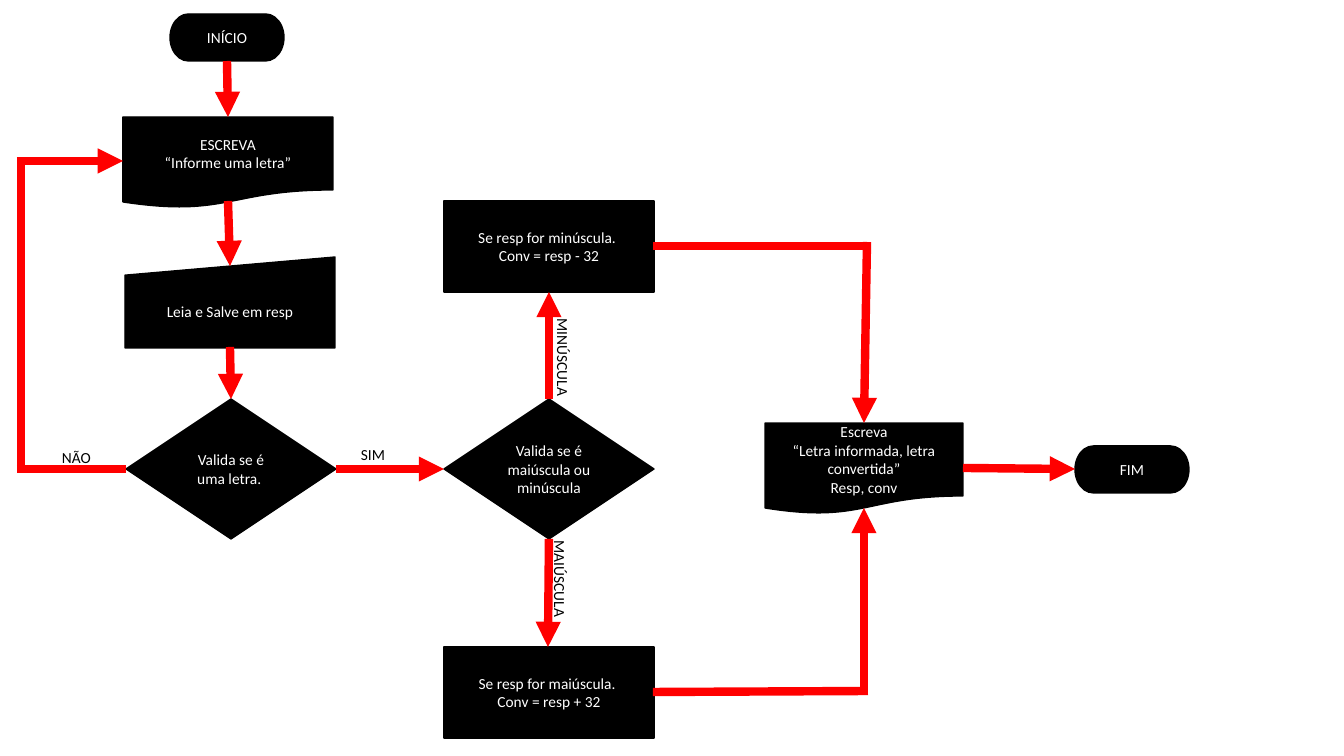
from dataclasses import dataclass
from lxml.etree import SubElement
from pptx import Presentation
from pptx.dml.color import RGBColor as Rgb
from pptx.enum.shapes import MSO_CONNECTOR as Conn, MSO_SHAPE as Form
from pptx.enum.text import MSO_ANCHOR as Anchor, MSO_AUTO_SIZE as Fit, PP_ALIGN as Align
from pptx.oxml.ns import qn
from pptx.util import Emu, Pt

SCALE = 914400 / 100.8
COLORS = {"ink": "000000", "paper": "FFFFFF", "flow": "FF0000"}


@dataclass
class Step:
    form: Form
    x: int
    y: int
    w: int
    h: int
    text: str


@dataclass
class Link:
    x1: int
    y1: int
    x2: int
    y2: int
    arrow: bool = True


@dataclass
class Label:
    x: int
    y: int
    w: int
    text: str
    turn: int = 0


def px(n: int) -> Emu:
    return Emu(round(n * SCALE))


def color(name: str) -> Rgb:
    return Rgb.from_string(COLORS[name])


def write(frame, text: str, *, ink: str = "ink", align=Align.LEFT,
          anchor=Anchor.TOP, size: int = 11) -> None:
    frame.word_wrap = True
    frame.vertical_anchor = anchor
    for i, row in enumerate(text.split("\n")):
        para = frame.add_paragraph() if i else frame.paragraphs[0]
        para.alignment = align
        run = para.add_run()
        run.text = row
        run.font.name = "Calibri"
        run.font.size = Pt(size)
        run.font.color.rgb = color(ink)


def draw_step(slide, step: Step) -> None:
    shape = slide.shapes.add_shape(
        step.form, px(step.x), px(step.y), px(step.w), px(step.h))
    shape.shadow.inherit = False
    shape.fill.solid()
    shape.fill.fore_color.rgb = color("ink")
    shape.line.color.rgb = color("ink")
    shape.line.width = Pt(1)
    write(shape.text_frame, step.text, ink="paper",
          align=Align.CENTER, anchor=Anchor.MIDDLE)


def draw_link(slide, link: Link) -> None:
    line = slide.shapes.add_connector(
        Conn.STRAIGHT, px(link.x1), px(link.y1), px(link.x2), px(link.y2))
    line.line.color.rgb = color("flow")
    line.line.width = Pt(6)
    if link.arrow:
        SubElement(line.line._get_or_add_ln(), qn("a:tailEnd"), type="triangle")
    SubElement(line._element.spPr, qn("a:effectLst"))


def draw_label(slide, label: Label) -> None:
    box = slide.shapes.add_textbox(px(label.x), px(label.y), px(label.w), px(29))
    box.rotation = label.turn
    write(box.text_frame, label.text)
    box.text_frame.auto_size = Fit.SHAPE_TO_FIT_TEXT


END, DOC = Form.FLOWCHART_TERMINATOR, Form.FLOWCHART_DOCUMENT
TEST, TASK = Form.FLOWCHART_DECISION, Form.FLOWCHART_PROCESS

STEPS = [
    Step(END, 170, 14, 114, 47, "INÍCIO"),
    Step(DOC, 123, 117, 210, 91, "ESCREVA\n“Informe uma letra”"),
    Step(Form.FLOWCHART_MANUAL_INPUT, 125, 257, 210, 91, "Leia e Salve em resp"),
    Step(TEST, 126, 399, 210, 140, "Valida se é uma letra. "),
    Step(TEST, 444, 399, 210, 140, "Valida se é maiúscula ou minúscula"),
    Step(TASK, 444, 201, 210, 91, "Se resp for minúscula. \nConv = resp - 32"),
    Step(TASK, 444, 647, 210, 91, "Se resp for maiúscula. \nConv = resp + 32"),
    Step(DOC, 765, 423, 198, 91,
         "Escreva\n“Letra informada, letra convertida”\nResp, conv"),
    Step(END, 1075, 446, 114, 47, "FIM"),
]

LINKS = [
    # Input column
    Link(227, 61, 228, 117),
    Link(228, 201, 230, 266),
    Link(230, 347, 231, 399),
    # Loop back
    Link(17, 469, 126, 469, False),
    Link(21, 158, 21, 469, False),
    Link(17, 161, 123, 161),
    # Letter case branches
    Link(336, 469, 444, 469),
    Link(549, 399, 549, 292),
    Link(549, 539, 548, 647),
    # Output
    Link(653, 246, 868, 246, False),
    Link(867, 242, 864, 423),
    Link(653, 692, 868, 691, False),
    Link(864, 692, 864, 508),
    Link(963, 468, 1075, 469),
]

LABELS = [
    Label(52, 443, 81, "NÃO"),
    Label(351, 440, 81, "SIM"),
    Label(487, 370, 152, "MINÚSCULA", 90),
    Label(484, 592, 152, "MAIÚSCULA", 90),
]

deck = Presentation()
deck.slide_width, deck.slide_height = px(1344), px(756)
page = deck.slides.add_slide(deck.slide_layouts[6])
for step in STEPS:
    draw_step(page, step)
for link in LINKS:
    draw_link(page, link)
for label in LABELS:
    draw_label(page, label)
deck.save("out.pptx")
